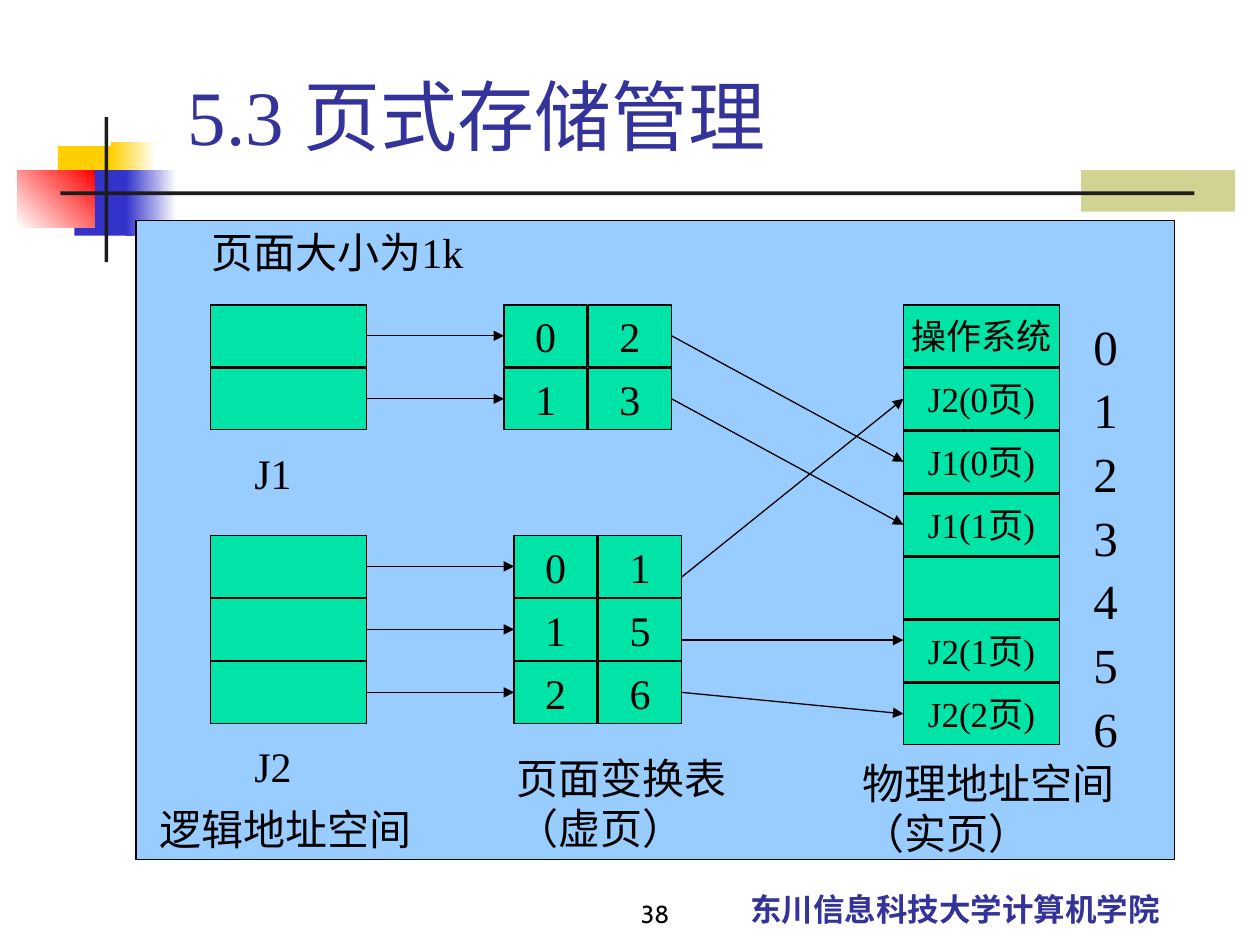
from typing import NamedTuple, Optional

from lxml import etree
from pptx import Presentation
from pptx.dml.color import RGBColor
from pptx.enum.shapes import MSO_CONNECTOR, MSO_SHAPE
from pptx.enum.text import MSO_ANCHOR, MSO_AUTO_SIZE, PP_ALIGN
from pptx.oxml.ns import qn
from pptx.util import Inches, Pt

SERIF = "Times New Roman"
BLACK, NAVY, BLUE, YELLOW = "000000", "333399", "3333CC", "FFCF01"
WHITE, RED, INK, OLIVE = "FFFFFF", "FF0000", "1C1C1C", "D1D393"
PANEL, GREEN = "99CCFF", "00E4A8"
ROW_PITCH, ROW_HEIGHT = 0.5, 0.49
LEFT_SIDE, RIGHT_SIDE = 1, 3


class Area(NamedTuple):
    left: float
    top: float
    width: float
    height: float


class Ornament(NamedTuple):
    area: Area
    color: str
    end_color: Optional[str] = None
    angle: float = 180


class Label(NamedTuple):
    lines: list[str]
    area: Area
    size: float = 24
    font: str = SERIF
    color: str = BLACK
    align: PP_ALIGN = PP_ALIGN.LEFT
    bottom: bool = False
    bold: bool = False


class Job(NamedTuple):
    name: str
    top: float
    name_top: float
    table_left: float
    frames: list[int]


ORNAMENTS = [
    Ornament(Area(8.58, 1.35, 1.22, 0.33), OLIVE),
    Ornament(Area(0.46, 1.16, 0.48, 0.52), YELLOW),
    Ornament(Area(0.88, 1.13, 0.36, 0.52), WHITE, YELLOW),
    Ornament(Area(0.59, 1.35, 0.46, 0.52), BLUE),
    Ornament(Area(1, 1.35, 0.4, 0.52), WHITE, BLUE),
    Ornament(Area(0.14, 1.35, 0.61, 0.46), RED, WHITE, 225),
    Ornament(Area(0.83, 0.93, 0.03, 1.15), INK),
    Ornament(Area(0.48, 1.52, 9, 0.03), INK),
]
JOBS = [
    Job("J1", 2.42, 3.5, 4, [2, 3]),
    Job("J2", 4.25, 5.83, 4.08, [1, 5, 6]),
]
MEMORY = ["操作系统", "J2(0页)", "J1(0页)", "J1(1页)", "", "J2(1页)", "J2(2页)"]
# Arrow ends that lie off the middle of a cell: (job, page) -> y
START_HEIGHTS = {("J2", 0): 4.58, ("J2", 1): 5.08}
END_HEIGHTS = {("J2", 1): 5.08}
LABELS = [
    Label(["东川信息科技大学计算机学院"], Area(5.33, 6.83, 4.5, 0.58), 18,
          "Noto Sans CJK SC", NAVY, PP_ALIGN.CENTER, bottom=True, bold=True),
    Label(["38"], Area(3.33, 6.92, 2.08, 0.5), 14, "Cabin",
          align=PP_ALIGN.RIGHT, bottom=True),
    Label(["5.3 页式存储管理"], Area(1.39, 0.5, 8.52, 0.83), 44,
          color=NAVY, bottom=True),
    Label([str(n) for n in range(len(MEMORY))], Area(8.58, 2.46, 0.49, 3.45), 28),
    Label(["页面大小为1k"], Area(1.58, 1.75, 3.57, 0.5)),
    Label(["逻辑地址空间"], Area(1.17, 6.33, 2.32, 0.5)),
    Label(["物理地址空间（实页）"], Area(6.75, 5.96, 2.32, 0.91)),
    Label(["页面变换表（虚页）"], Area(4, 5.92, 2.32, 0.91)),
]


def rgb(color: str) -> RGBColor:
    return RGBColor.from_string(color)


def add_box(page, area: Area, color: str, outlined: bool = False):
    box = page.shapes.add_shape(MSO_SHAPE.RECTANGLE, *map(Inches, area))
    box.shadow.inherit = False
    box.fill.solid()
    box.fill.fore_color.rgb = rgb(color)
    if outlined:
        box.line.color.rgb = rgb(BLACK)
        box.line.width = Pt(0.75)
    else:
        box.line.fill.background()
    return box


def add_ornament(page, ornament: Ornament) -> None:
    box = add_box(page, ornament.area, ornament.color)
    if ornament.end_color:
        box.fill.gradient()
        box.fill.gradient_angle = ornament.angle
        colors = (ornament.color, ornament.end_color)
        for stop, color in zip(box.fill.gradient_stops, colors):
            stop.color.rgb = rgb(color)


def style(para, size: float, font: str, color: str, align, bold: bool = False) -> None:
    para.alignment = align
    para.space_before = para.space_after = Pt(size * 0.05)
    para.font.size = Pt(size)
    para.font.name = font
    para.font.bold = bold
    para.font.color.rgb = rgb(color)
    if font != SERIF:
        properties = para.font._element
        east_asian = etree.SubElement(properties, qn("a:ea"))
        east_asian.set("typeface", font)


def add_label(page, label: Label) -> None:
    frame = page.shapes.add_textbox(*map(Inches, label.area)).text_frame
    frame.word_wrap = True
    if label.bottom:
        frame.vertical_anchor = MSO_ANCHOR.BOTTOM
    else:
        frame.auto_size = MSO_AUTO_SIZE.SHAPE_TO_FIT_TEXT
    frame.text = "\n".join(label.lines)
    for para in frame.paragraphs:
        style(para, label.size, label.font, label.color, label.align, label.bold)


def add_column(page, left: float, top: float, width: float,
               texts: list[str], size: float = 24) -> list:
    """Stack one cell per text and return the cells."""
    cells = []
    for row, text in enumerate(texts):
        area = Area(left, top + row * ROW_PITCH, width, ROW_HEIGHT)
        cell = add_box(page, area, GREEN, outlined=True)
        if text:
            frame = cell.text_frame
            frame.word_wrap = False
            frame.vertical_anchor = MSO_ANCHOR.MIDDLE
            frame.text = text
            style(frame.paragraphs[0], size, SERIF, BLACK, PP_ALIGN.CENTER)
        cells.append(cell)
    return cells


def add_arrow(page, source, target, start_y: Optional[float] = None,
              end_y: Optional[float] = None) -> None:
    """Point from the right of source to the left of target, joined where no y is given."""
    arrow = page.shapes.add_connector(
        MSO_CONNECTOR.STRAIGHT,
        source.left + source.width, Inches(start_y or 0),
        target.left, Inches(end_y or 0))
    if start_y is None:
        arrow.begin_connect(source, RIGHT_SIDE)
    if end_y is None:
        arrow.end_connect(target, LEFT_SIDE)
    arrow.line.color.rgb = rgb(BLACK)
    arrow.line.width = Pt(0.75)
    etree.SubElement(arrow.line._get_or_add_ln(), qn("a:tailEnd")).set("type", "triangle")
    etree.SubElement(arrow._element.spPr, qn("a:effectLst"))


def add_job(page, job: Job, memory: list) -> None:
    numbers = [str(n) for n in range(len(job.frames))]
    space = add_column(page, 1.67, job.top, 1.24, [""] * len(job.frames))
    virtual = add_column(page, job.table_left, job.top, 0.66, numbers)
    real = add_column(page, job.table_left + 0.67, job.top, 0.66,
                      [str(n) for n in job.frames])
    for number, frame in enumerate(job.frames):
        key = (job.name, number)
        add_arrow(page, space[number], virtual[number])
        add_arrow(page, real[number], memory[frame],
                  START_HEIGHTS.get(key), END_HEIGHTS.get(key))
    add_label(page, Label([job.name], Area(1.92, job.name_top, 0.84, 0.5)))


def main() -> None:
    deck = Presentation()
    deck.slide_width, deck.slide_height = Inches(10), Inches(7.5)
    page = deck.slides.add_slide(deck.slide_layouts[6])
    for ornament in ORNAMENTS:
        add_ornament(page, ornament)
    add_box(page, Area(1.08, 1.75, 8.24, 5.07), PANEL, outlined=True)
    memory = add_column(page, 7.17, 2.42, 1.24, MEMORY, size=20)
    for job in JOBS:
        add_job(page, job, memory)
    for label in LABELS:
        add_label(page, label)
    deck.save("out.pptx")


if __name__ == "__main__":
    main()
